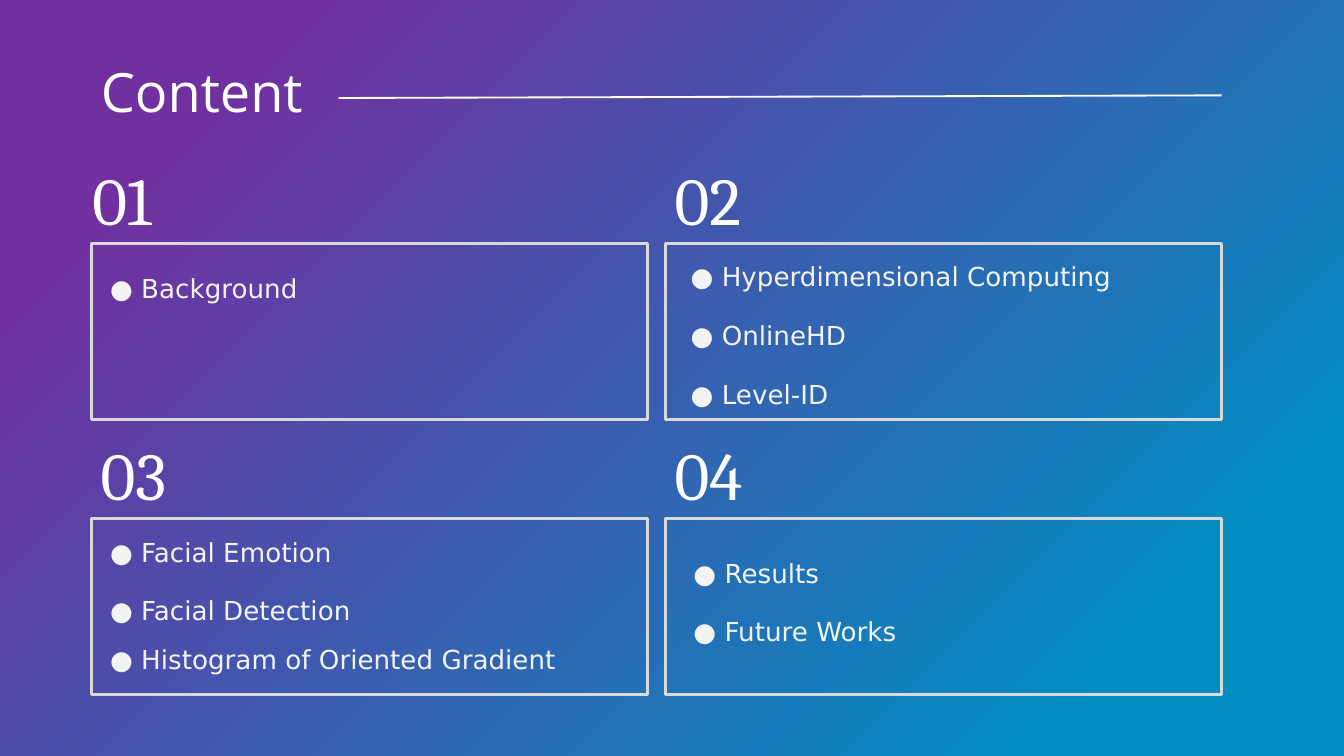
import lxml.etree
import pptx
import pptx.dml.color
import pptx.enum.shapes
import pptx.enum.text
import pptx.oxml.ns
import pptx.util
from dataclasses import dataclass

Pt = pptx.util.Pt
RGB = pptx.dml.color.RGBColor.from_string


@dataclass(frozen=True)
class Theme:
    """Colours and type styles of the deck."""
    gradient: tuple = ((0.14, "008EC0"), (0.85, "7030A0"))
    gradient_angle: int = 135
    frame: str = "D9D9D9"
    rule: str = "FFFFFF"
    title: tuple = ("Open Sans", 29, "FFFFFF")
    number: tuple = ("Cambria", 36, "FFFFFF")
    topic: tuple = ("DejaVu Sans", 14, "F3F3F3")


class SlideBuilder:
    """Holds the theme and the current slide; all lengths are in points."""

    def __init__(self, deck, theme):
        self.theme = theme
        self.slide = deck.slides.add_slide(deck.slide_layouts[5])

    def background(self):
        fill = self.slide.background.fill
        fill.gradient()
        fill.gradient_angle = self.theme.gradient_angle
        for stop, (position, colour) in zip(fill.gradient_stops, self.theme.gradient):
            stop.position = position
            stop.color.rgb = RGB(colour)

    def set_text(self, holder, text, style, inset_y):
        face, size, colour = style
        frame = holder.text_frame
        frame.text = text
        frame_format = {
            "margin_left": Pt(5), "margin_right": Pt(5),
            "margin_top": Pt(inset_y), "margin_bottom": Pt(inset_y),
            "word_wrap": True,
            "vertical_anchor": pptx.enum.text.MSO_ANCHOR.TOP,
            "auto_size": pptx.enum.text.MSO_AUTO_SIZE.SHAPE_TO_FIT_TEXT,
        }
        for name, value in frame_format.items():
            setattr(frame, name, value)
        paragraph = frame.paragraphs[0]
        paragraph.alignment = pptx.enum.text.PP_ALIGN.LEFT
        for name, value in {"name": face, "size": Pt(size)}.items():
            setattr(paragraph.runs[0].font, name, value)
        paragraph.runs[0].font.color.rgb = RGB(colour)

    def title(self, text, left, top, width, height):
        heading = self.slide.shapes.title
        place = {"left": left, "top": top, "width": width, "height": height}
        for name, value in place.items():
            setattr(heading, name, Pt(value))
        self.set_text(heading, text, self.theme.title, 3)

    def text(self, text, left, top, width, height, style, inset_y):
        box = self.slide.shapes.add_textbox(Pt(left), Pt(top), Pt(width), Pt(height))
        self.set_text(box, text, style, inset_y)

    def frame(self, left, top, width, height):
        panel = self.slide.shapes.add_shape(
            pptx.enum.shapes.MSO_SHAPE.RECTANGLE,
            Pt(left), Pt(top), Pt(width), Pt(height))
        panel.shadow.inherit = False
        panel.fill.background()
        panel.line.color.rgb = RGB(self.theme.frame)
        panel.line.width = Pt(1.5)

    def rule(self, x1, y1, x2, y2):
        rule = self.slide.shapes.add_connector(
            pptx.enum.shapes.MSO_CONNECTOR.STRAIGHT, Pt(x1), Pt(y1), Pt(x2), Pt(y2))
        rule.line.color.rgb = RGB(self.theme.rule)
        rule.line.width = Pt(1)
        # An empty effect list switches the theme shadow off
        lxml.etree.SubElement(rule._element.spPr, pptx.oxml.ns.qn("a:effectLst"))


# Panel grid
COLUMNS = (49, 356.4)
ROWS = (130.3, 277.9)
PANEL_WIDTH, PANEL_HEIGHT = 298, 94.3
NUMBER_RISE = 48.7

# Per section: number left, topic left, topic width, topics with their tops
SECTIONS = (
    (44.6, 54, 118.8, (("Background", 141.1),)),
    (356.4, 365, 289.4, (("Hyperdimensional Computing", 134.6),
                         ("OnlineHD", 166.3), ("Level-ID", 198))),
    (49, 54, 289.4, (("Facial Emotion", 282.2), ("Facial Detection", 313.2),
                     ("Histogram of Oriented Gradient", 339.8))),
    (356.4, 366.5, 286.6, (("Results", 293.8), ("Future Works", 324.7))),
)


def main():
    deck = pptx.Presentation()
    deck.slide_width, deck.slide_height = Pt(720), Pt(405)
    theme = Theme()
    contents = SlideBuilder(deck, theme)
    contents.background()

    # Heading with its rule
    contents.title("Content", 49, 28.1, 177, 40.3)
    contents.rule(181.4, 52.5, 654.4, 51.1)

    # Numbered sections, row by row
    for index, (number_left, topic_left, topic_width, topics) in enumerate(SECTIONS):
        row, column = divmod(index, len(COLUMNS))
        top = ROWS[row]
        contents.frame(COLUMNS[column], top, PANEL_WIDTH, PANEL_HEIGHT)
        contents.text(f"{index + 1:02}", number_left, top - NUMBER_RISE, 84.2, 49,
                      theme.number, 3)
        for topic, topic_top in topics:
            contents.text(f"● {topic}", topic_left, topic_top, topic_width, 28,
                          theme.topic, 5)

    deck.save("out.pptx")


if __name__ == "__main__":
    main()
